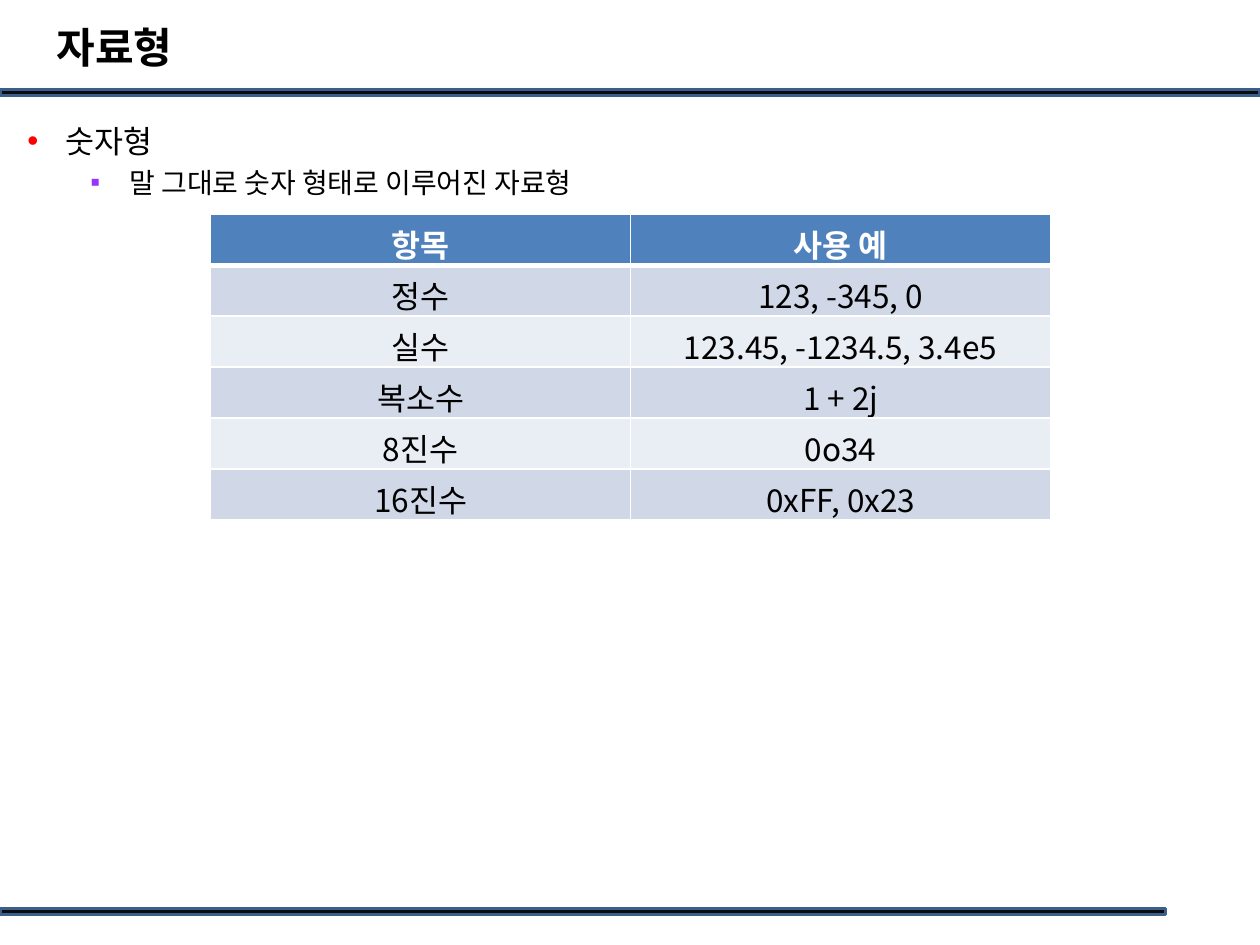
from dataclasses import dataclass

from lxml import etree
from pptx import Presentation
from pptx.dml.color import RGBColor
from pptx.enum import shapes, text
from pptx.oxml.ns import qn
from pptx.util import Inches, Pt

FONT = "Noto Sans CJK KR"
COLORS = {
    "text": "000000",
    "white": "FFFFFF",
    "rule": "0D0D0D",
    "rule_edge": "3A5F8C",
    "header": "4F81BD",
    "odd_row": "D0D8E8",
    "even_row": "E9EDF4",
    "bullet": "FF0000",
    "sub_bullet": "9933FF",
}


@dataclass
class Rule:
    top: float
    width: float


@dataclass
class Bullet:
    words: str
    size: int
    level: int
    margin: float
    hanging: float
    symbol: str
    color: str


RULES = [Rule(0.71, 10), Rule(7.21, 9.25)]
BULLETS = [
    Bullet("숫자형", 18, 0, 0.3, 0.3, "•", "bullet"),
    Bullet("말 그대로 숫자 형태로 이루어진 자료형", 16, 1, 0.81, 0.31, "▪", "sub_bullet"),
]
ROWS = [
    ("항목", "사용 예"),
    ("정수", "123, -345, 0"),
    ("실수", "123.45, -1234.5, 3.4e5"),
    ("복소수", "1 + 2j"),
    ("8진수", "0o34"),
    ("16진수", "0xFF, 0x23"),
]


def rgb(name: str) -> RGBColor:
    return RGBColor.from_string(COLORS[name])


def set_font(paragraph, size: int, color: str = "text", bold: bool = False) -> None:
    """Style the paragraph for both Latin and Korean letters."""
    font = paragraph.font
    font.name, font.size, font.bold = FONT, Pt(size), bold
    font.color.rgb = rgb(color)
    latin = font._element.find(qn("a:latin"))
    east_asian = etree.Element(qn("a:ea"), typeface=FONT)
    latin.addnext(east_asian)


def add_rule(slide, rule: Rule) -> None:
    shape = slide.shapes.add_shape(
        shapes.MSO_SHAPE.RECTANGLE, 0, Inches(rule.top), Inches(rule.width), Inches(0.05)
    )
    shape.shadow.inherit = False
    shape.fill.solid()
    shape.fill.fore_color.rgb = rgb("rule")
    shape.line.color.rgb = rgb("rule_edge")
    shape.line.width = Pt(2)


def add_text_frame(slide, left: float, top: float, width: float, height: float):
    box = slide.shapes.add_textbox(Inches(left), Inches(top), Inches(width), Inches(height))
    box.text_frame.word_wrap = True
    return box.text_frame


def add_title(slide, words: str) -> None:
    frame = add_text_frame(slide, 0.35, 0.05, 9.57, 0.64)
    frame.vertical_anchor = text.MSO_ANCHOR.MIDDLE
    paragraph = frame.paragraphs[0]
    paragraph.text = words
    set_font(paragraph, 24, bold=True)


def add_bullets(slide, bullets: list[Bullet]) -> None:
    frame = add_text_frame(slide, 0.12, 0.92, 9.74, 6.2)
    for index, bullet in enumerate(bullets):
        paragraph = frame.add_paragraph() if index else frame.paragraphs[0]
        paragraph.text = bullet.words
        paragraph.level = bullet.level
        paragraph.space_before = Pt(bullet.size * 0.2)
        properties = paragraph._p.get_or_add_pPr()
        properties.set("marL", str(Inches(bullet.margin)))
        properties.set("indent", str(-Inches(bullet.hanging)))
        color = etree.SubElement(properties, qn("a:buClr"))
        etree.SubElement(color, qn("a:srgbClr"), val=COLORS[bullet.color])
        etree.SubElement(properties, qn("a:buFont"), typeface="Arial")
        etree.SubElement(properties, qn("a:buChar"), char=bullet.symbol)
        set_font(paragraph, bullet.size)


def set_borders(cell, top: float, bottom: float) -> None:
    """Draw white borders; the sides are 1 point wide."""
    properties = cell._tc.get_or_add_tcPr()
    widths = {"lnL": 1, "lnR": 1, "lnT": top, "lnB": bottom}
    for index, (side, width) in enumerate(widths.items()):
        line = etree.Element(qn(f"a:{side}"), w=str(Pt(width)))
        fill = etree.SubElement(line, qn("a:solidFill"))
        etree.SubElement(fill, qn("a:srgbClr"), val=COLORS["white"])
        properties.insert(index, line)


def add_type_table(slide, rows: list[tuple[str, str]]) -> None:
    table = slide.shapes.add_table(
        len(rows), len(rows[0]), Inches(1.67), Inches(1.7), Inches(6.67), Inches(2.43)
    ).table
    for row_index, row in enumerate(rows):
        is_header = row_index == 0
        band = "header" if is_header else "odd_row" if row_index % 2 else "even_row"
        for column_index, words in enumerate(row):
            cell = table.cell(row_index, column_index)
            cell.fill.solid()
            cell.fill.fore_color.rgb = rgb(band)
            set_borders(cell, 3 if row_index == 1 else 1, 3 if is_header else 1)
            paragraph = cell.text_frame.paragraphs[0]
            paragraph.text = words
            paragraph.alignment = text.PP_ALIGN.CENTER
            set_font(paragraph, 18, "white" if is_header else "text", is_header)


def main() -> None:
    presentation = Presentation()
    presentation.slide_width, presentation.slide_height = Inches(10), Inches(7.5)
    slide = presentation.slides.add_slide(presentation.slide_layouts[6])
    for rule in RULES:
        add_rule(slide, rule)
    add_title(slide, "자료형")
    add_bullets(slide, BULLETS)
    add_type_table(slide, ROWS)
    presentation.save("out.pptx")


if __name__ == "__main__":
    main()
